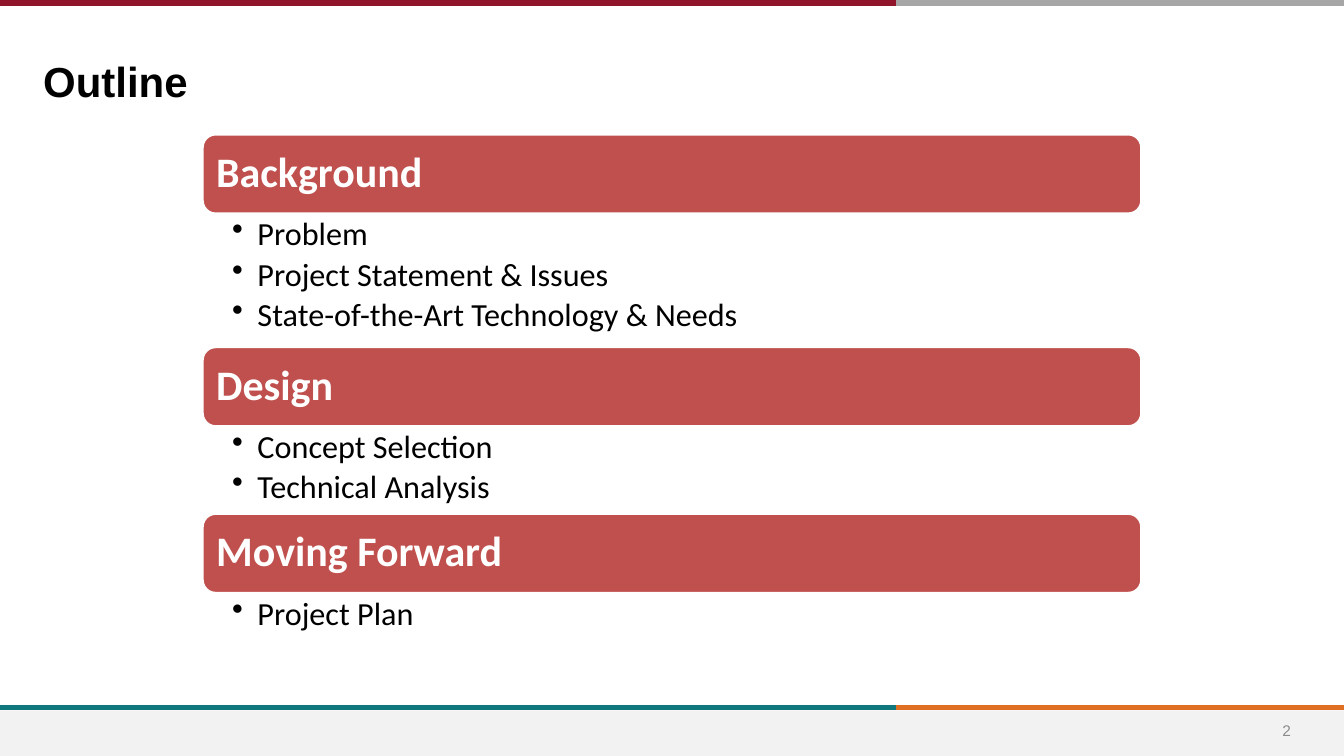
from lxml.etree import SubElement
from pptx import Presentation
from pptx.dml.color import RGBColor
from pptx.enum.shapes import MSO_CONNECTOR, MSO_SHAPE
from pptx.enum.text import MSO_ANCHOR as Anchor, PP_ALIGN as Align
from pptx.oxml.ns import qn
from pptx.util import Cm, Pt

WHITE = RGBColor(0xFF, 0xFF, 0xFF)
BLACK = RGBColor(0, 0, 0)
BRICK = RGBColor(0xC0, 0x50, 0x4D)
MAROON = RGBColor(0x90, 0x15, 0x2A)
GREY = RGBColor(0xA6, 0xA6, 0xA6)
TEAL = RGBColor(0x0F, 0x78, 0x7D)
ORANGE = RGBColor(0xDF, 0x70, 0x23)
FOOTER_FILL = RGBColor(0xF2, 0xF2, 0xF2)
NUMBER_GREY = RGBColor(0x8C, 0x8C, 0x8C)

SLIDE_W, SLIDE_H = 33.87, 19.05
BAR_H = 2.01
SECTIONS = [
    ("Background", 3.35, ["Problem", "Project Statement & Issues",
                          "State-of-the-Art Technology & Needs"]),
    ("Design", 2.19, ["Concept Selection", "Technical Analysis"]),
    ("Moving Forward", 1.37, ["Project Plan"]),
]


def write(shape, *lines, size, font="Calibri", color=BLACK, bold=False,
          align=Align.LEFT, anchor=Anchor.TOP, insets=(0.25, 0.13),
          spacing=1.0, after=0, bullet=None):
    frame = shape.text_frame
    frame.word_wrap = True
    frame.vertical_anchor = anchor
    frame.margin_left = frame.margin_right = Cm(insets[0])
    frame.margin_top = frame.margin_bottom = Cm(insets[1])
    for index, line in enumerate(lines):
        paragraph = frame.add_paragraph() if index else frame.paragraphs[0]
        paragraph.text = line
        paragraph.alignment = align
        paragraph.line_spacing = spacing
        paragraph.space_after = Pt(after)
        if bullet:
            props = paragraph._p.get_or_add_pPr()
            props.set("marL", str(Cm(0.64)))
            props.set("indent", str(-Cm(0.64)))
            SubElement(props, qn("a:buChar"), char=bullet)
        paragraph.font.name = font
        paragraph.font.size = Pt(size)
        paragraph.font.bold = bold
        paragraph.font.color.rgb = color


def add_box(slide, left, top, width, height):
    return slide.shapes.add_textbox(Cm(left), Cm(top), Cm(width), Cm(height))


def add_panel(slide, kind, left, top, width, height, fill, outline=None):
    panel = slide.shapes.add_shape(kind, Cm(left), Cm(top), Cm(width), Cm(height))
    panel.shadow.inherit = False
    panel.fill.solid()
    panel.fill.fore_color.rgb = fill
    if outline is None:
        panel.line.fill.background()
    else:
        panel.line.color.rgb = outline
        panel.line.width = Pt(2)
    return panel


def add_stripe(slide, left, y, width, left_color, right_color):
    split = left + width * 2 / 3
    for start, end, color in ((split, left + width, right_color),
                              (left, split, left_color)):
        stripe = slide.shapes.add_connector(
            MSO_CONNECTOR.STRAIGHT, Cm(start), Cm(y), Cm(end), Cm(y))
        stripe.line.color.rgb = color
        stripe.line.width = Pt(4)
        SubElement(stripe._element.spPr, qn("a:effectLst"))


def add_footer(slide, left, top, width, height, number):
    add_panel(slide, MSO_SHAPE.RECTANGLE, left, top, width, height, FOOTER_FILL)
    add_stripe(slide, left, top - 0.07, width, TEAL, ORANGE)
    page = add_box(slide, left + width - 2.32, top, 1.75, 1.02)
    write(page, number, size=11, font="Arial", color=NUMBER_GREY,
          align=Align.CENTER, anchor=Anchor.MIDDLE)


def add_header(slide, left, top, width, title):
    add_stripe(slide, left, top + 0.08, width, MAROON, GREY)
    heading = add_box(slide, left + 0.84, top + 1.27, 27.05, 1.5)
    write(heading, title, size=30, font="Arial", bold=True)


def add_outline(slide, left, top, width, sections):
    for name, list_height, topics in sections:
        bar = add_panel(slide, MSO_SHAPE.ROUNDED_RECTANGLE, left, top, width,
                        BAR_H, BRICK, WHITE)
        write(bar, name, size=30, color=WHITE, bold=True,
              anchor=Anchor.MIDDLE, insets=(0.25, 0.3), spacing=0.9)
        topic_list = add_box(slide, left, top + BAR_H, width, list_height)
        write(topic_list, *topics, size=23, insets=(0.75, 0.1), spacing=0.9,
              after=4, bullet="•")
        top += BAR_H + list_height


def main():
    deck = Presentation()
    deck.slide_width, deck.slide_height = Cm(SLIDE_W), Cm(SLIDE_H)
    slide = deck.slides.add_slide(deck.slide_layouts[6])
    add_footer(slide, 0, 17.9, SLIDE_W, SLIDE_H - 17.9, "2")
    add_header(slide, 0, 0, SLIDE_W, "Outline")
    add_outline(slide, 5.1, 3.38, 23.67, SECTIONS)
    deck.save("out.pptx")


if __name__ == "__main__":
    main()
